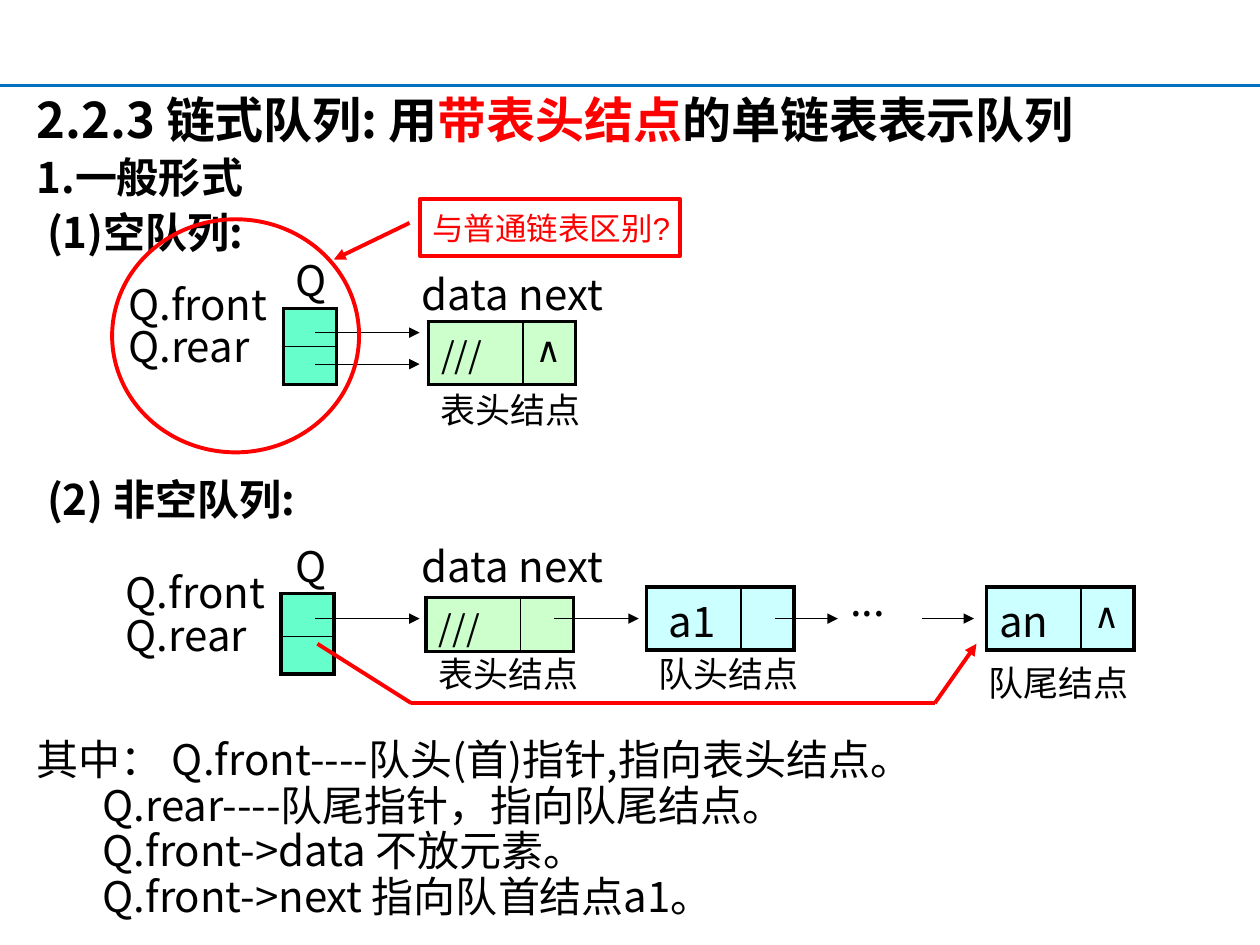
import pptx
import pptx.dml.color
import pptx.enum.shapes
import pptx.enum.text
import pptx.oxml.ns
import pptx.util
from lxml import etree

Pt = pptx.util.Pt
RGBColor = pptx.dml.color.RGBColor
Shape = pptx.enum.shapes.MSO_SHAPE
qn = pptx.oxml.ns.qn

BLACK = RGBColor(0, 0, 0)
RED = RGBColor(255, 0, 0)
BLUE = RGBColor(0, 0x70, 0xC0)
GREEN = RGBColor(0xCC, 0xFF, 0xCC)
CYAN = RGBColor(0xCC, 0xFF, 0xFF)
TEAL = RGBColor(0x66, 0xFF, 0xCC)
FONT = "Noto Sans CJK SC"
THICK, THIN = 2.25, 1

# (runs as (text, font, colour), size, bold, indent, space before, line height)
BODY = [
    ([("2.2.3 链式队列: ", FONT, BLACK), ("用", "Calibri", BLACK),
      ("带表头结点", "Calibri", RED), ("的单链表表示", "Calibri", BLACK),
      ("队列", FONT, BLACK)], 28, True, 0, 0, 32),
    ([("1.一般形式", FONT, BLACK)], 24, True, 0, 5, 26),
    ([("(1)空队列:", FONT, BLACK)], 24, True, 6, 5, 26),
    ([("(2) 非空队列:", FONT, BLACK)], 24, True, 6, 127, 26),
    ([("其中： Q.front----队头(首)指针,指向表头结点。", FONT, BLACK)], 24, False, 0, 122.5, 26),
    ([("Q.rear----队尾指针，指向队尾结点。", FONT, BLACK)], 24, False, 37.7, 0, 26),
    ([("Q.front->data 不放元素。", FONT, BLACK)], 24, False, 37.7, 0, 26),
    ([("Q.front->next 指向队首结点a1。", FONT, BLACK)], 24, False, 37.7, 0, 26),
]

# (left, top, height, fill, data, size, left margin, top margin, next)
NODES = [
    (244.8, 183.6, 36.2, GREEN, "///", 20, 7.2, 3.6, "∧"),
    (243.4, 341.3, 31, GREEN, "///", 20, 7.2, 2, ""),
    (369.4, 335.5, 36, CYAN, "a1", 24, 12.6, 1.2, ""),
    (563.8, 335.5, 36, CYAN, "an", 24, 7.2, 1.2, "∧"),
]
NODE_COLS = (54, 30.2)

# (left, top, row heights)
QUEUES = [(162, 176.4, (21.6, 21.6)), (160.6, 339.1, (24.5, 21.6))]
QUEUE_W = 30.2

# (left, top, width, height, lines, size, line spacing)
LABELS = [
    (234, 149.8, 122.4, 36, ["data next"], 24, 1),
    (244.8, 221, 115.2, 28.8, ["表头结点"], 20, 0.9),
    (234, 305.3, 122.4, 36, ["data next"], 24, 1),
    (243.4, 372.2, 115.2, 28.8, ["表头结点"], 20, 0.9),
    (369.4, 372.2, 115.2, 28.8, ["队头结点"], 20, 0.9),
    (558, 377.3, 115.2, 28.8, ["队尾结点"], 20, 0.9),
    (478.8, 324.7, 50.4, 36, ["..."], 24, 1),
    (66.2, 159.8, 98.6, 64.8, ["Q.front", "Q.rear"], 24, 0.85),
    (162, 141.8, 30.2, 36, ["Q"], 24, 1),
    (64.8, 324.7, 98.6, 64.8, ["Q.front", "Q.rear"], 24, 0.85),
    (162, 305.3, 30.2, 36, ["Q"], 24, 1),
]

# (x1, y1, x2, y2)
POINTERS = [
    (180, 190.1, 239.8, 190.1), (180, 208.1, 239.8, 208.1),
    (180, 353.5, 239.8, 353.5), (316.8, 353.5, 365, 353.5),
    (442.8, 353.5, 478.8, 353.5), (527, 353.5, 556.6, 353.5),
]
REAR_ROUTE = [(181.4, 367.9), (235, 401.8), (534.2, 401.8), (558, 367.9)]


def add_run(p, text, size, font=FONT, color=BLACK, bold=False):
    r = p.add_run()
    r.text = text
    r.font.size, r.font.name, r.font.bold = Pt(size), font, bold
    r.font.color.rgb = color


def add_line(s, x1, y1, x2, y2, color, width, arrow=False):
    line = s.shapes.add_connector(pptx.enum.shapes.MSO_CONNECTOR.STRAIGHT,
                                  Pt(x1), Pt(y1), Pt(x2), Pt(y2))
    line.line.color.rgb = color
    line.line.width = Pt(width)
    if arrow:
        etree.SubElement(line.line._get_or_add_ln(), qn("a:tailEnd"), type="triangle")
    etree.SubElement(line._element.spPr, qn("a:effectLst"))


def add_outline(s, kind, left, top, width, height):
    sp = s.shapes.add_shape(kind, Pt(left), Pt(top), Pt(width), Pt(height))
    sp.shadow.inherit = False
    sp.fill.background()
    sp.line.color.rgb = RED
    sp.line.width = Pt(THICK)
    return sp


def set_borders(cell, widths):
    """Draw the left, right, top and bottom borders in the given widths."""
    tcPr = cell._tc.get_or_add_tcPr()
    for i, (side, width) in enumerate(zip(("lnL", "lnR", "lnT", "lnB"), widths)):
        ln = etree.Element(qn("a:" + side), w=str(int(Pt(width))))
        fill = etree.SubElement(ln, qn("a:solidFill"))
        etree.SubElement(fill, qn("a:srgbClr"), val=str(BLACK))
        tcPr.insert(i, ln)


def add_grid(s, left, top, cols, rows, fill):
    """Add a table with a thick frame and thin inner lines."""
    tbl = s.shapes.add_table(len(rows), len(cols), Pt(left), Pt(top),
                             Pt(sum(cols)), Pt(sum(rows))).table
    tbl.first_row = tbl.horz_banding = False
    for col, width in zip(tbl.columns, cols):
        col.width = Pt(width)
    for i, height in enumerate(rows):
        tbl.rows[i].height = Pt(height)
        for j in range(len(cols)):
            cell = tbl.cell(i, j)
            cell.fill.solid()
            cell.fill.fore_color.rgb = fill
            cell.margin_top = cell.margin_bottom = 0
            edges = (j == 0, j == len(cols) - 1, i == 0, i == len(rows) - 1)
            set_borders(cell, [THICK if edge else THIN for edge in edges])
            end = etree.SubElement(cell.text_frame.paragraphs[0]._p, qn("a:endParaRPr"))
            end.set("sz", "800")
    return tbl


def add_body(s):
    body = s.placeholders[1]
    body.left, body.top, body.width, body.height = Pt(13.7), Pt(49), Pt(689.8), Pt(490)
    tf = body.text_frame
    tf.word_wrap = True
    tf.auto_size = pptx.enum.text.MSO_AUTO_SIZE.NONE
    tf.vertical_anchor = pptx.enum.text.MSO_ANCHOR.TOP
    for i, (runs, size, bold, indent, before, height) in enumerate(BODY):
        p = tf.paragraphs[0] if i == 0 else tf.add_paragraph()
        pPr = p._p.get_or_add_pPr()
        pPr.set("marL", str(int(Pt(indent))))
        pPr.set("indent", "0")
        etree.SubElement(pPr, qn("a:buNone"))
        p.space_before = Pt(before)
        p.line_spacing = Pt(height)
        for text, font, color in runs:
            add_run(p, text, size, font, color, bold)


def main():
    prs = pptx.Presentation()
    prs.slide_width, prs.slide_height = Pt(720), Pt(540)
    s = prs.slides.add_slide(prs.slide_layouts[1])
    title = s.shapes.title._element
    title.getparent().remove(title)
    add_line(s, 0, 49, 720, 49, BLUE, 1.5)
    add_body(s)

    for left, top, height, fill, data, size, margin_left, margin_top, link in NODES:
        tbl = add_grid(s, left, top, NODE_COLS, [height], fill)
        cell = tbl.cell(0, 0)
        cell.margin_left, cell.margin_top = Pt(margin_left), Pt(margin_top)
        add_run(cell.text_frame.paragraphs[0], data, size)
        if link:
            cell = tbl.cell(0, 1)
            cell.margin_top = Pt(3.6)
            add_run(cell.text_frame.paragraphs[0], link, 20, "Lato")
    for left, top, rows in QUEUES:
        add_grid(s, left, top, [QUEUE_W], rows, TEAL)

    for left, top, width, height, lines, size, spacing in LABELS:
        tf = s.shapes.add_textbox(Pt(left), Pt(top), Pt(width), Pt(height)).text_frame
        tf.word_wrap = True
        for i, text in enumerate(lines):
            p = tf.paragraphs[0] if i == 0 else tf.add_paragraph()
            p.line_spacing = spacing
            add_run(p, text, size)

    for ends in POINTERS:
        add_line(s, *ends, BLACK, 0.75, arrow=True)
    for start, end in zip(REAR_ROUTE, REAR_ROUTE[1:]):
        add_line(s, *start, *end, RED, THICK, arrow=end == REAR_ROUTE[-1])

    add_outline(s, Shape.OVAL, 64.1, 125.3, 141.1, 133.2)
    callout = add_outline(s, Shape.RECTANGLE, 239.8, 113.8, 149, 32.4)
    tf = callout.text_frame
    tf.word_wrap = True
    tf.margin_right = 0
    p = tf.paragraphs[0]
    p.alignment = pptx.enum.text.PP_ALIGN.LEFT
    add_run(p, "与普通链表区别?", 18, "Arial", RED)
    add_line(s, 234, 127.4, 190.8, 148.3, RED, THICK, arrow=True)
    prs.save("out.pptx")


if __name__ == "__main__":
    main()
